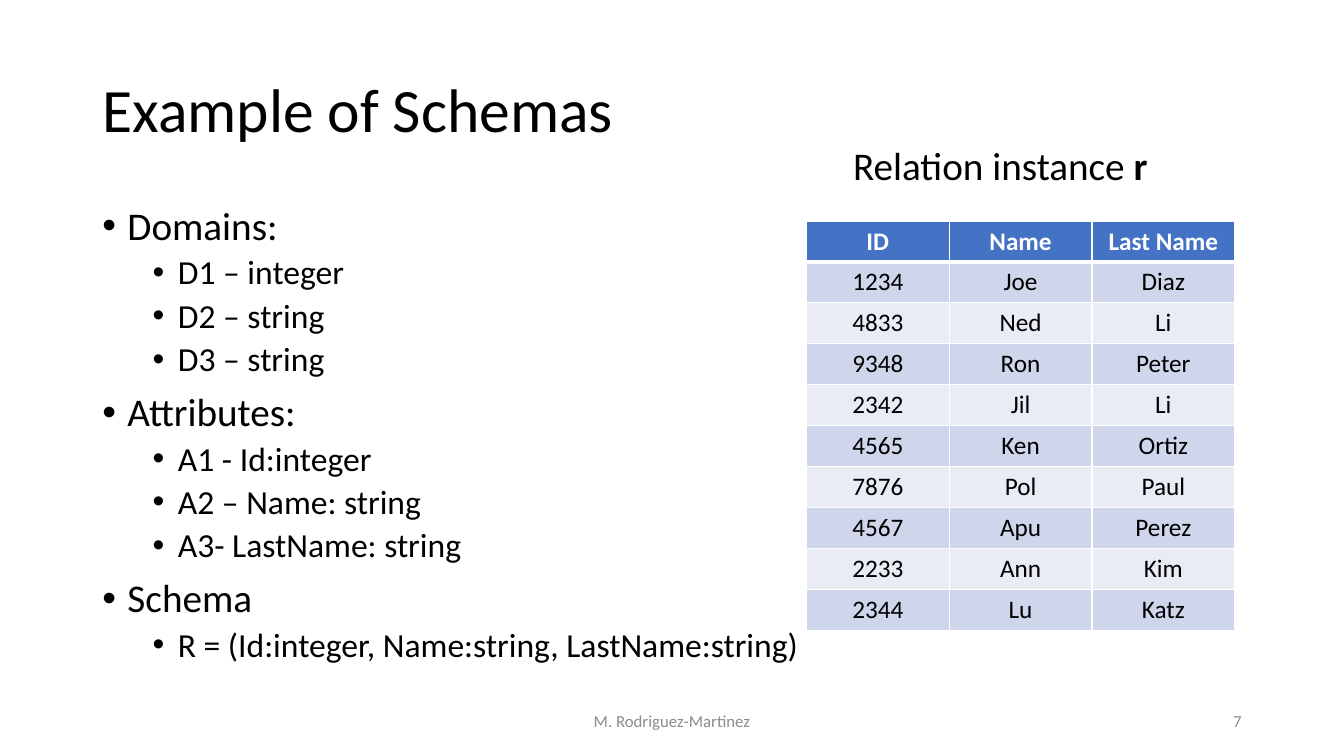
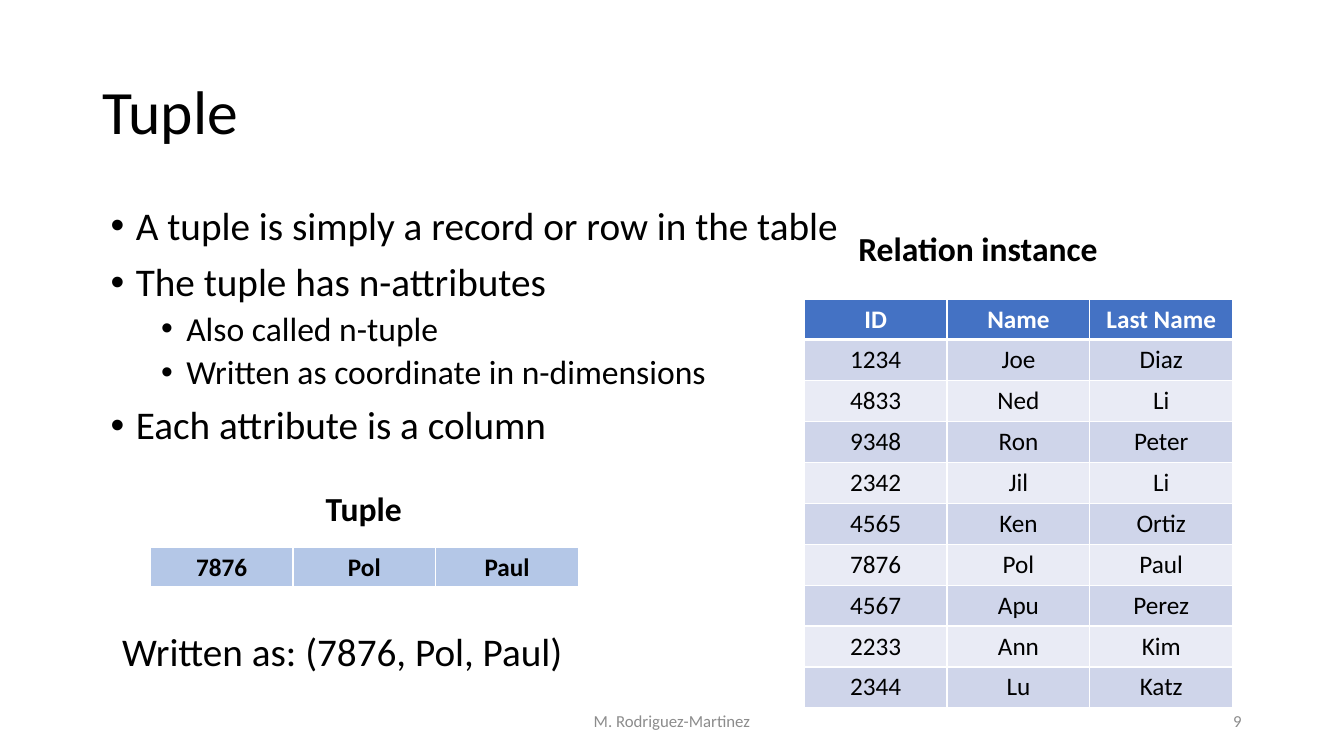
from dataclasses import dataclass

from lxml.etree import SubElement
from pptx import Presentation
from pptx.dml.color import RGBColor as Color
from pptx.enum.text import MSO_ANCHOR as Anchor, MSO_AUTO_SIZE as AutoSize, PP_ALIGN as Align
from pptx.oxml.ns import qn
from pptx.util import Emu, Pt

EMU_PER_PX = 9525


@dataclass(frozen=True)
class Theme:
    """Colours, font and type sizes shared by the slides."""
    font: str = "Calibri"
    ink: str = "000000"
    white: str = "FFFFFF"
    muted: str = "8C8C8C"
    header: str = "4472C4"
    bands: tuple = ("CFD5EA", "E9EBF5")
    tuple_fill: str = "B4C7E7"
    title: int = 44
    large: int = 28
    medium: int = 24
    cell: int = 18
    footer: int = 12


THEME = Theme()
AUTHOR = "M. Rodriguez-Martinez"
COLUMN_WIDTH, ROW_HEIGHT, HEADER_HEIGHT = 136, 39, 32
BULLET_STYLES = ((24, THEME.large, 10), (72, THEME.medium, 5))
HEADINGS = ("ID", "Name", "Last Name")
RECORDS = (
    ("1234", "Joe", "Diaz"),
    ("4833", "Ned", "Li"),
    ("9348", "Ron", "Peter"),
    ("2342", "Jil", "Li"),
    ("4565", "Ken", "Ortiz"),
    ("7876", "Pol", "Paul"),
    ("4567", "Apu", "Perez"),
    ("2233", "Ann", "Kim"),
    ("2344", "Lu", "Katz"),
)
SCHEMA_BULLETS = (
    (0, "Domains:"),
    (1, "D1 – integer"),
    (1, "D2 – string"),
    (1, "D3 – string"),
    (0, "Attributes:"),
    (1, "A1 - Id:integer"),
    (1, "A2 – Name: string"),
    (1, "A3- LastName: string"),
    (0, "Schema"),
    (1, "R = (Id:integer, Name:string, LastName:string)"),
)
TUPLE_BULLETS = (
    (0, "A tuple is simply a record or row in the table"),
    (0, "The tuple has n-attributes"),
    (1, "Also called n-tuple"),
    (1, "Written as coordinate in n-dimensions"),
    (0, "Each attribute is a column"),
)


def px(length):
    """Turn pixels into EMU."""
    return Emu(length * EMU_PER_PX)


def style_runs(paragraph, size, color=THEME.ink, bold=False):
    """Format every run of a paragraph."""
    for run in paragraph.runs:
        run.font.name = THEME.font
        run.font.size = Pt(size)
        run.font.bold = bold
        run.font.color.rgb = Color.from_string(color)


def add_label(slide, box, text, size, color=THEME.ink, bold=False,
              align=Align.LEFT, anchor=Anchor.TOP, wrap=False):
    """Add one line of text and return its paragraph."""
    frame = slide.shapes.add_textbox(*map(px, box)).text_frame
    frame.word_wrap = wrap
    frame.vertical_anchor = anchor
    frame.text = text
    paragraph = frame.paragraphs[0]
    paragraph.alignment = align
    style_runs(paragraph, size, color, bold)
    return paragraph


def add_title(slide, box, text):
    """Place and format the title placeholder."""
    title = slide.shapes.title
    title.left, title.top, title.width, title.height = map(px, box)
    frame = title.text_frame
    frame.text = text
    frame.auto_size = AutoSize.NONE
    frame.vertical_anchor = Anchor.MIDDLE
    paragraph = frame.paragraphs[0]
    paragraph.alignment = Align.LEFT
    paragraph.line_spacing = 0.9
    style_runs(paragraph, THEME.title)


def add_bullets(slide, box, items):
    """Add a two-level bulleted list."""
    frame = slide.shapes.add_textbox(*map(px, box)).text_frame
    frame.word_wrap = True
    frame.text = "\n".join(text for _, text in items)
    for paragraph, (level, _) in zip(frame.paragraphs, items):
        indent, size, space = BULLET_STYLES[level]
        paragraph.level = level
        paragraph.line_spacing = 0.9
        paragraph.space_before = Pt(space)
        style_runs(paragraph, size)
        properties = paragraph._p.get_or_add_pPr()
        properties.set("marL", str(px(indent)))
        properties.set("indent", str(px(-24)))
        SubElement(properties, qn("a:buFont"), typeface="Arial")
        SubElement(properties, qn("a:buChar"), char="•")


def set_borders(cell, top, bottom):
    """Give a cell white borders with the given top and bottom widths."""
    properties = cell._tc.get_or_add_tcPr()
    for side, width in (("L", 1), ("R", 1), ("T", top), ("B", bottom)):
        line = SubElement(properties, qn(f"a:ln{side}"), w=str(Pt(width)))
        fill = SubElement(line, qn("a:solidFill"))
        SubElement(fill, qn("a:srgbClr"), val=THEME.white)


def format_cell(cell, text, fill, color=THEME.ink, bold=False, top=1, bottom=1):
    """Fill, border and letter one table cell."""
    set_borders(cell, top, bottom)
    cell.fill.solid()
    cell.fill.fore_color.rgb = Color.from_string(fill)
    cell.text = text
    paragraph = cell.text_frame.paragraphs[0]
    paragraph.alignment = Align.CENTER
    style_runs(paragraph, THEME.cell, color, bold)


def add_grid(slide, left, top, heights):
    """Add a three-column table with the given row heights."""
    columns = len(HEADINGS)
    box = (left, top, columns * COLUMN_WIDTH, sum(heights))
    table = slide.shapes.add_table(len(heights), columns, *map(px, box)).table
    for row, height in zip(table.rows, heights):
        row.height = px(height)
    return table


def add_relation(slide, left, top):
    """Add the relation instance table."""
    table = add_grid(slide, left, top, [HEADER_HEIGHT] + [ROW_HEIGHT] * len(RECORDS))
    for column, heading in enumerate(HEADINGS):
        format_cell(table.cell(0, column), heading, THEME.header, THEME.white, True, bottom=3)
    for index, record in enumerate(RECORDS):
        for column, value in enumerate(record):
            format_cell(table.cell(index + 1, column), value, THEME.bands[index % 2],
                        top=1 if index else 3)


def add_tuple(slide, left, top, record):
    """Add a caption and the single record below it."""
    add_label(slide, (left + 53, top, 301, 48), "Tuple", THEME.medium,
              bold=True, align=Align.CENTER, wrap=True)
    table = add_grid(slide, left, top + 61, [ROW_HEIGHT])
    for column, value in enumerate(record):
        format_cell(table.cell(0, column), value, THEME.tuple_fill, bold=True, bottom=3)


def add_footer(slide, number):
    """Add the author and slide number."""
    for left, width, text, align in ((424, 432, AUTHOR, Align.CENTER),
                                     (904, 288, str(number), Align.RIGHT)):
        add_label(slide, (left, 667, width, 38), text, THEME.footer, THEME.muted,
                  align=align, anchor=Anchor.MIDDLE, wrap=True)


def start_slide(presentation, title, title_top, number):
    """Add a slide with its title and footer."""
    slide = presentation.slides.add_slide(presentation.slide_layouts[5])
    add_title(slide, (88, title_top, 1104, 139), title)
    add_footer(slide, number)
    return slide


def build_schema_slide(presentation):
    """Build the slide on schemas."""
    slide = start_slide(presentation, "Example of Schemas", 38, 7)
    add_bullets(slide, (88, 192, 1104, 457), SCHEMA_BULLETS)
    add_relation(slide, 768, 211)
    caption = add_label(slide, (803, 130, 303, 55), "Relation instance ", THEME.large)
    caption.add_run().text = "r"
    style_runs(caption, THEME.large)
    caption.runs[-1].font.bold = True


def build_tuple_slide(presentation):
    """Build the slide on tuples."""
    slide = start_slide(presentation, "Tuple", 40, 9)
    add_bullets(slide, (96, 192, 1104, 457), TUPLE_BULLETS)
    record = RECORDS[5]
    add_tuple(slide, 143, 460, record)
    add_label(slide, (808, 212, 257, 48), "Relation instance", THEME.medium, bold=True)
    add_relation(slide, 766, 285)
    add_label(slide, (107, 593, 444, 55), f"Written as: ({', '.join(record)})", THEME.large)


def main():
    """Build and save the presentation."""
    presentation = Presentation()
    presentation.slide_width, presentation.slide_height = px(1280), px(720)
    build_schema_slide(presentation)
    build_tuple_slide(presentation)
    presentation.save("out.pptx")


if __name__ == "__main__":
    main()
